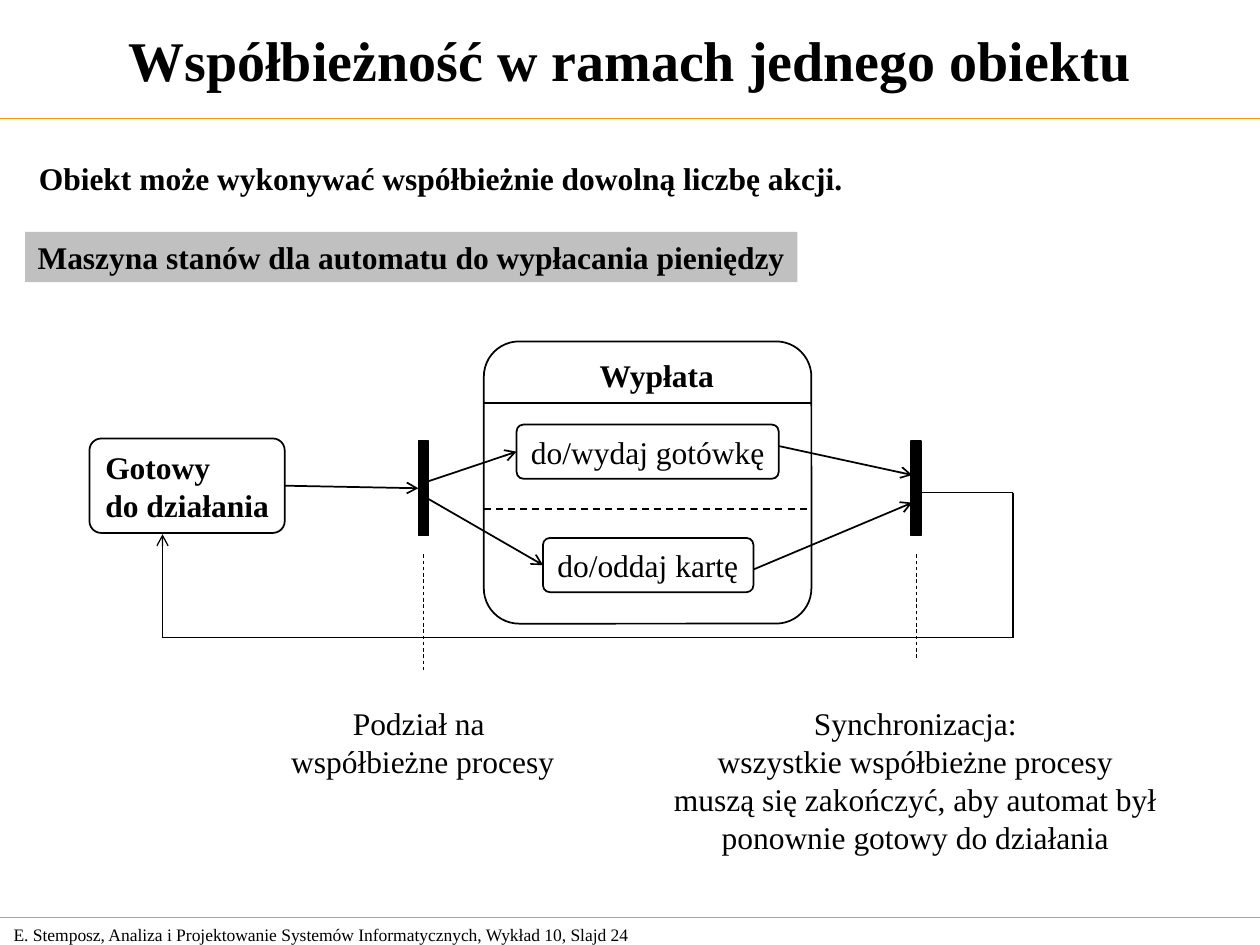
from dataclasses import dataclass

from lxml import etree
from pptx import Presentation
from pptx.dml.color import RGBColor
from pptx.enum import dml, shapes, text
from pptx.oxml import ns
from pptx.util import Inches, Pt


@dataclass(frozen=True)
class Theme:
    font: str = "Times New Roman"
    ink: str = "000000"
    gold: str = "FF9900"
    gray: str = "C0C0C0"
    head: int = 32
    body: int = 18
    foot: int = 10
    edge: float = 1
    thin: float = 0.75
    hair: float = 0.5


class Deck:
    def __init__(self, theme):
        self.theme = theme
        self.show = Presentation()
        self.show.slide_width = Inches(10)
        self.show.slide_height = Inches(7.5)
        self.slide = self.show.slides.add_slide(self.show.slide_layouts[6])

    def letter(self, shape, lines, size=None, bold=False, mid=False,
               wrap=False, anchor=text.MSO_ANCHOR.TOP):
        frame = shape.text_frame
        frame.word_wrap = wrap
        frame.vertical_anchor = anchor
        for i, line in enumerate(lines):
            para = frame.paragraphs[0] if i == 0 else frame.add_paragraph()
            para.alignment = text.PP_ALIGN.CENTER if mid else text.PP_ALIGN.LEFT
            run = para.add_run()
            run.text = line
            run.font.name = self.theme.font
            run.font.size = Pt(size or self.theme.body)
            run.font.bold = bold
            run.font.color.rgb = RGBColor.from_string(self.theme.ink)

    def label(self, box, *lines, **style):
        shape = self.slide.shapes.add_textbox(*map(Inches, box))
        self.letter(shape, lines, **style)

    def block(self, box, *lines, kind=shapes.MSO_SHAPE.RECTANGLE,
              fill=None, edge=None, **style):
        shape = self.slide.shapes.add_shape(kind, *map(Inches, box))
        shape.shadow.inherit = False
        if fill:
            shape.fill.solid()
            shape.fill.fore_color.rgb = RGBColor.from_string(fill)
        else:
            shape.fill.background()
        if edge:
            shape.line.color.rgb = RGBColor.from_string(self.theme.ink)
            shape.line.width = Pt(edge)
        else:
            shape.line.fill.background()
        if lines:
            self.letter(shape, lines, **style)
        return shape

    def state(self, box, *lines, **style):
        shape = self.block(box, *lines, kind=shapes.MSO_SHAPE.ROUNDED_RECTANGLE,
                           edge=self.theme.edge, **style)
        shape.adjustments[0] = 0.125
        return shape

    def bar(self, left):
        return self.block((left, 3.5, 0.08, 0.75), fill=self.theme.ink,
                          edge=self.theme.thin)

    def line(self, start, end, width=None, color=None, dash=False,
             arrow=False, begin=None, close=None):
        line = self.slide.shapes.add_connector(
            shapes.MSO_CONNECTOR.STRAIGHT, *map(Inches, (*start, *end)))
        line.line.color.rgb = RGBColor.from_string(color or self.theme.ink)
        line.line.width = Pt(width or self.theme.edge)
        if dash:
            line.line.dash_style = dml.MSO_LINE.DASH
        props = line._element.spPr
        if arrow:
            etree.SubElement(props.find(ns.qn("a:ln")), ns.qn("a:tailEnd"),
                             type="arrow")
        etree.SubElement(props, ns.qn("a:effectLst"))
        if begin:
            line.begin_connect(*begin)
        if close:
            line.end_connect(*close)


def main():
    theme = Theme()
    deck = Deck(theme)
    left, right = 1, 3

    # Frame of the page
    deck.label((0.01, 7.28, 5.24, 0.27),
               "E. Stemposz, Analiza i Projektowanie Systemów Informatycznych, "
               "Wykład 10, Slajd 24",
               size=theme.foot, wrap=True, anchor=text.MSO_ANCHOR.MIDDLE)
    for y in (0.94, 7.28):
        deck.line((0, y), (10, y), theme.thin, theme.gold)

    # Title and lead
    deck.label((0.04, 0.04, 9.92, 0.85), "Współbieżność w ramach jednego obiektu",
               size=theme.head, bold=True, mid=True, wrap=True,
               anchor=text.MSO_ANCHOR.MIDDLE)
    deck.label((0.21, 1.21, 6.58, 0.4),
               "Obiekt może wykonywać współbieżnie dowolną liczbę akcji.", bold=True)
    deck.block((0.2, 1.84, 6.13, 0.4),
               "Maszyna stanów dla automatu do wypłacania pieniędzy",
               fill=theme.gray, bold=True)

    # States
    ready = deck.state((0.71, 3.48, 1.55, 0.75), "Gotowy", "do działania", bold=True)
    deck.state((3.84, 2.71, 2.6, 2.24))
    deck.label((4.66, 2.78, 1.12, 0.4), "Wypłata", bold=True)
    cash = deck.state((4.1, 3.37, 2.08, 0.43), "do/wydaj gotówkę")
    card = deck.state((4.31, 4.27, 1.67, 0.43), "do/oddaj kartę")
    deck.line((3.84, 3.2), (6.44, 3.2))
    deck.line((3.84, 4.04), (6.44, 4.04), dash=True)

    # Fork and join
    fork = deck.bar(3.32)
    deck.bar(7.23)
    deck.line((2.26, 3.87), (3.32, 3.87), arrow=True,
              begin=(ready, right), close=(fork, left))
    deck.line((3.4, 3.82), (4.1, 3.58), arrow=True, close=(cash, left))
    deck.line((3.4, 3.96), (4.31, 4.48), arrow=True, close=(card, left))
    deck.line((6.18, 3.54), (7.24, 3.77), arrow=True)
    deck.line((5.98, 4.52), (7.24, 3.99), arrow=True)

    # Way back to the ready state
    turns = [(7.31, 3.91), (8.04, 3.91), (8.04, 5.06), (1.29, 5.06), (1.29, 4.24)]
    for start, end in zip(turns, turns[1:]):
        deck.line(start, end, theme.thin, arrow=end == turns[-1])

    # Notes under the bars
    for x, low in ((3.36, 5.32), (7.27, 5.23)):
        deck.line((x, 4.4), (x, low), theme.hair, dash=True)
    deck.label((2.21, 5.54, 2.29, 0.7), "Podział na ", "współbieżne procesy", mid=True)
    deck.label((5.25, 5.54, 4.03, 1.3), "Synchronizacja:",
               "wszystkie współbieżne procesy",
               "muszą się zakończyć, aby automat był",
               "ponownie gotowy do działania", mid=True)

    deck.show.save("out.pptx")


if __name__ == "__main__":
    main()
